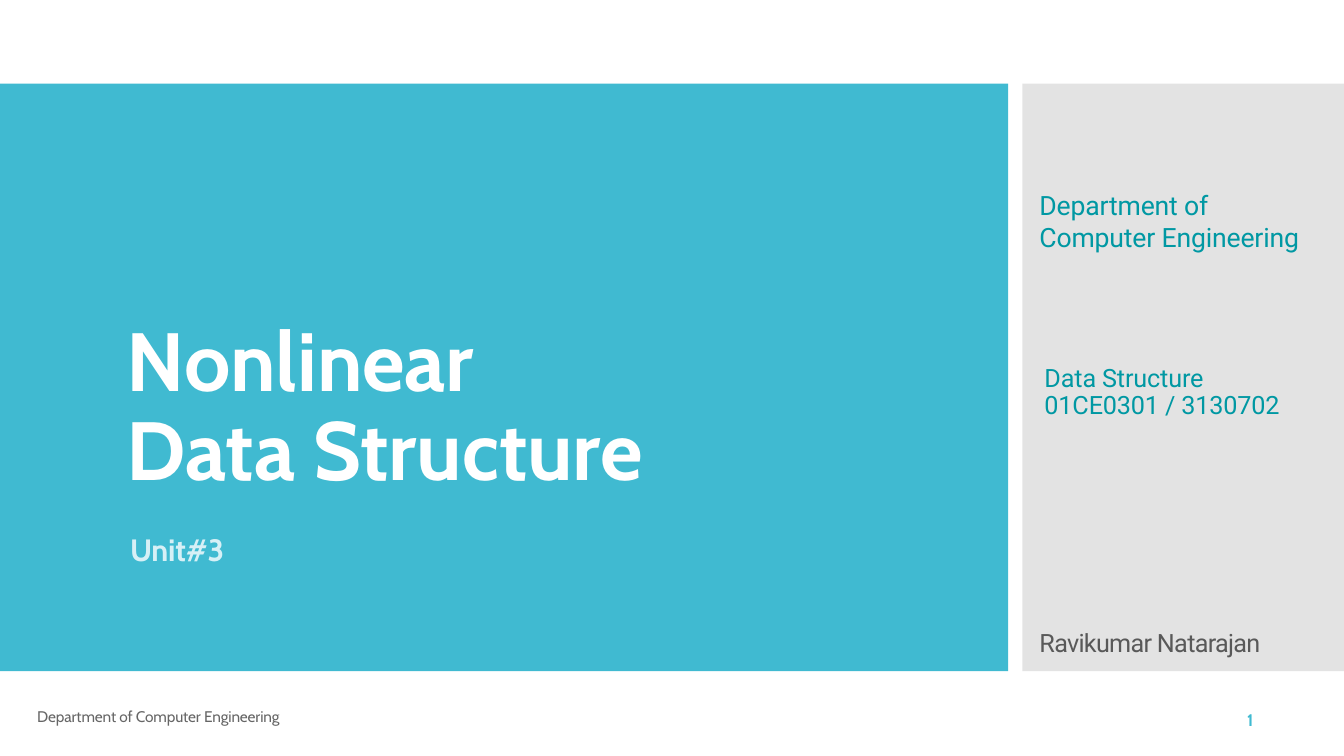
from pptx import Presentation
from pptx.dml.color import RGBColor
from pptx.enum.shapes import MSO_SHAPE
from pptx.enum.text import MSO_ANCHOR
from pptx.util import Inches, Pt
from lxml.etree import SubElement
from pptx.oxml.ns import qn

TEAL, CYAN, WHITE = "0098A3", "40BAD1", "FFFFFF"


def color(code):
    return RGBColor.from_string(code)


def panel(slide, box, fill, alpha=None):
    shape = slide.shapes.add_shape(MSO_SHAPE.RECTANGLE, *map(Inches, box))
    shape.shadow.inherit = False
    shape.line.fill.background()
    shape.fill.solid()
    shape.fill.fore_color.rgb = color(fill)
    if alpha:
        tint = shape.element.spPr.find(qn("a:solidFill"))[0]
        SubElement(tint, qn("a:alpha")).set("val", str(alpha * 1000))


def label(slide, box, text, font, size, ink, bold=False, pitch=None,
          top=0.01, left=0.01, track=-0.1):
    """Add text; pitch is the line height and track the letter spacing, in points."""
    shape = slide.shapes.add_textbox(*map(Inches, box))
    frame = shape.text_frame
    frame.word_wrap = True
    frame.vertical_anchor = MSO_ANCHOR.TOP
    frame.margin_left, frame.margin_top = Inches(left), Inches(top)
    frame.margin_right = frame.margin_bottom = 0
    frame.text = text
    para = frame.paragraphs[0]
    if pitch:
        para.line_spacing = Pt(pitch)
    for run in para.runs:
        run.font.name = font
        run.font.size = Pt(size)
        run.font.bold = bold
        run.font.color.rgb = color(ink)
        run.font._element.set("spc", str(round(track * 100)))


def cover(slide, x, y, w, h):
    panel(slide, (x, y, w, h), CYAN)
    label(slide, (x + 1.25, y + 2.21, 5.4, 1.9), "Nonlinear\vData Structure",
          "Cabin", 59, WHITE, bold=True, pitch=63.8, top=0.12)
    label(slide, (x + 1.28, y + 4.43, 1.1, 0.39), "Unit#3",
          "Cabin", 22, "D7F0F6", bold=True)


def side(slide, x, y, w, h):
    panel(slide, (x, y, w, h), "C8C8C8", alpha=50)
    label(slide, (x + 0.16, y + 1.02, 2.75, 0.65),
          "Department of Computer Engineering",
          "Roboto", 19, TEAL, pitch=22.5, top=0.03)
    label(slide, (x + 0.21, y + 2.74, 2.6, 0.6),
          "Data Structure\v01CE0301 / 3130702",
          "Roboto", 18, TEAL, pitch=19.5, top=0.05)
    label(slide, (x + 0.16, y + 5.38, 2.6, 0.32), "Ravikumar Natarajan",
          "Roboto", 18, "595959", track=-0.5)


def footer(slide, x, y):
    label(slide, (x, y, 2.7, 0.18), "Department of Computer Engineering",
          "Cabin", 11, "666666", pitch=11.4, top=0)
    label(slide, (x + 11.96, y + 0.03, 0.26, 0.19), "1",
          "Cabin", 12, CYAN, bold=True, pitch=12.3, top=0, left=0.05, track=0)


def main():
    deck = Presentation()
    deck.slide_width, deck.slide_height = Inches(13.33), Inches(7.5)
    slide = deck.slides.add_slide(deck.slide_layouts[6])
    cover(slide, 0, 0.83, 10, 5.83)
    side(slide, 10.14, 0.83, 3.19, 5.83)
    footer(slide, 0.36, 7.04)
    deck.save("out.pptx")


if __name__ == "__main__":
    main()
